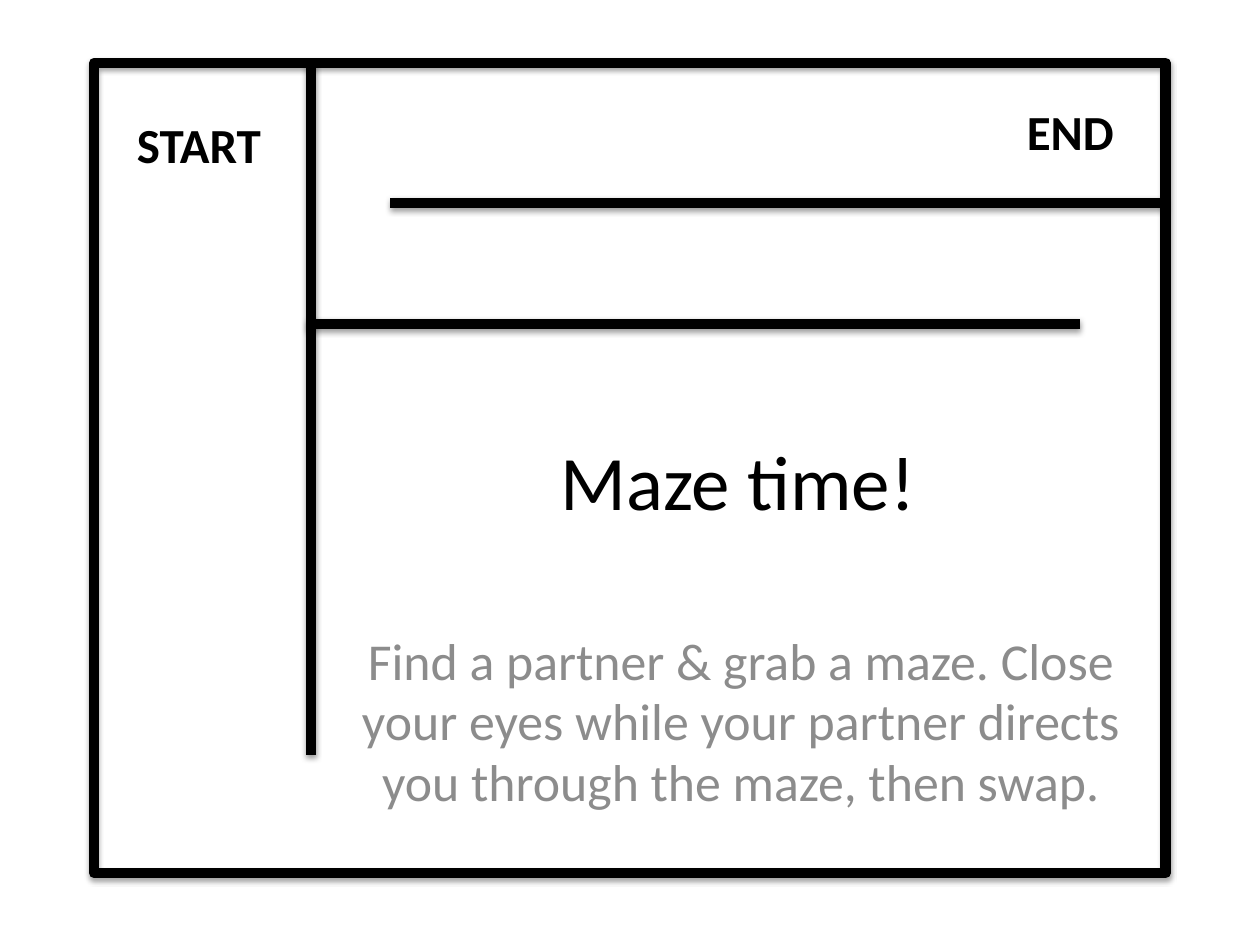
from lxml.etree import SubElement
from pptx import Presentation
from pptx.dml.color import RGBColor
from pptx.enum.shapes import MSO_CONNECTOR as Connector, MSO_SHAPE as Shape
from pptx.enum.text import MSO_ANCHOR as Anchor, MSO_AUTO_SIZE as AutoSize, PP_ALIGN as Align
from pptx.oxml.ns import qn
from pptx.util import Cm, Pt

COLORS = {"wall": "000000", "text": "000000", "hint": "8C8C8C"}
FONT = "Calibri"
LEFT, TOP, RIGHT, BOTTOM = 1.9, 1.27, 23.5, 17.6
INNER_WALL = 6.27


class MazeSlide:
    def __init__(self, deck):
        self.page = deck.slides.add_slide(deck.slide_layouts[0])

    def style_text(self, frame, size, color, bold=False):
        for para in frame.paragraphs:
            para.space_before = Pt(0)
            for span in para.runs:
                span.font.name = FONT
                span.font.size = Pt(size)
                span.font.bold = bold
                span.font.color.rgb = RGBColor.from_string(COLORS[color])

    def style_wall(self, shape, alpha, distance):
        shape.line.color.rgb = RGBColor.from_string(COLORS["wall"])
        shape.line.width = Pt(6)
        effects = SubElement(shape._element.spPr, qn("a:effectLst"))
        shadow = SubElement(effects, qn("a:outerShdw"), blurRad=str(Pt(3.1)),
                            dist=str(Pt(distance)), dir="5400000", rotWithShape="0")
        color = SubElement(shadow, qn("a:srgbClr"), val=COLORS["wall"])
        SubElement(color, qn("a:alpha"), val=str(alpha * 1000))

    def placeholder(self, index, text, left, top, width, height, size, color, anchor):
        box = self.page.placeholders[index]
        box.left, box.top, box.width, box.height = map(Cm, (left, top, width, height))
        frame = box.text_frame
        frame.text = text
        frame.word_wrap = True
        frame.auto_size = AutoSize.NONE
        frame.vertical_anchor = anchor
        frame.paragraphs[0].alignment = Align.CENTER
        self.style_text(frame, size, color)
        return frame

    def frame(self, left, top, right, bottom):
        outline = self.page.shapes.add_shape(
            Shape.RECTANGLE, Cm(left), Cm(top), Cm(right - left), Cm(bottom - top))
        outline.fill.background()
        self.style_wall(outline, 35, 1.8)

    def wall(self, x1, y1, x2, y2):
        line = self.page.shapes.add_connector(
            Connector.STRAIGHT, Cm(x1), Cm(y1), Cm(x2), Cm(y2))
        self.style_wall(line, 38, 1.6)

    def label(self, text, left, top, width, height):
        frame = self.page.shapes.add_textbox(
            Cm(left), Cm(top), Cm(width), Cm(height)).text_frame
        frame.text = text
        frame.word_wrap = False
        frame.auto_size = AutoSize.SHAPE_TO_FIT_TEXT
        self.style_text(frame, 28, "text", bold=True)


def main():
    deck = Presentation()
    deck.slide_width, deck.slide_height = Cm(25.4), Cm(19.05)
    maze = MazeSlide(deck)
    maze.placeholder(0, "Maze time!", INNER_WALL, 6.53, 17.22, 6.3, 44, "text", Anchor.MIDDLE)
    hint = maze.placeholder(
        1, "Find a partner & grab a maze. Close your eyes while your partner "
        "directs you through the maze, then swap.",
        6.73, 12.6, 16.43, 4.78, 29.6, "hint", Anchor.TOP)
    hint.paragraphs[0].line_spacing = 0.98
    maze.frame(LEFT, TOP, RIGHT, BOTTOM)
    maze.wall(INNER_WALL, TOP, INNER_WALL, 15.21)
    maze.label("START", 2.51, 2.18, 3.15, 1.45)
    maze.label("END", 20.45, 1.93, 2.29, 1.45)
    maze.wall(RIGHT, 4.09, 7.87, 4.09)
    maze.wall(21.77, 6.53, 6.17, 6.53)
    deck.save("out.pptx")


if __name__ == "__main__":
    main()
